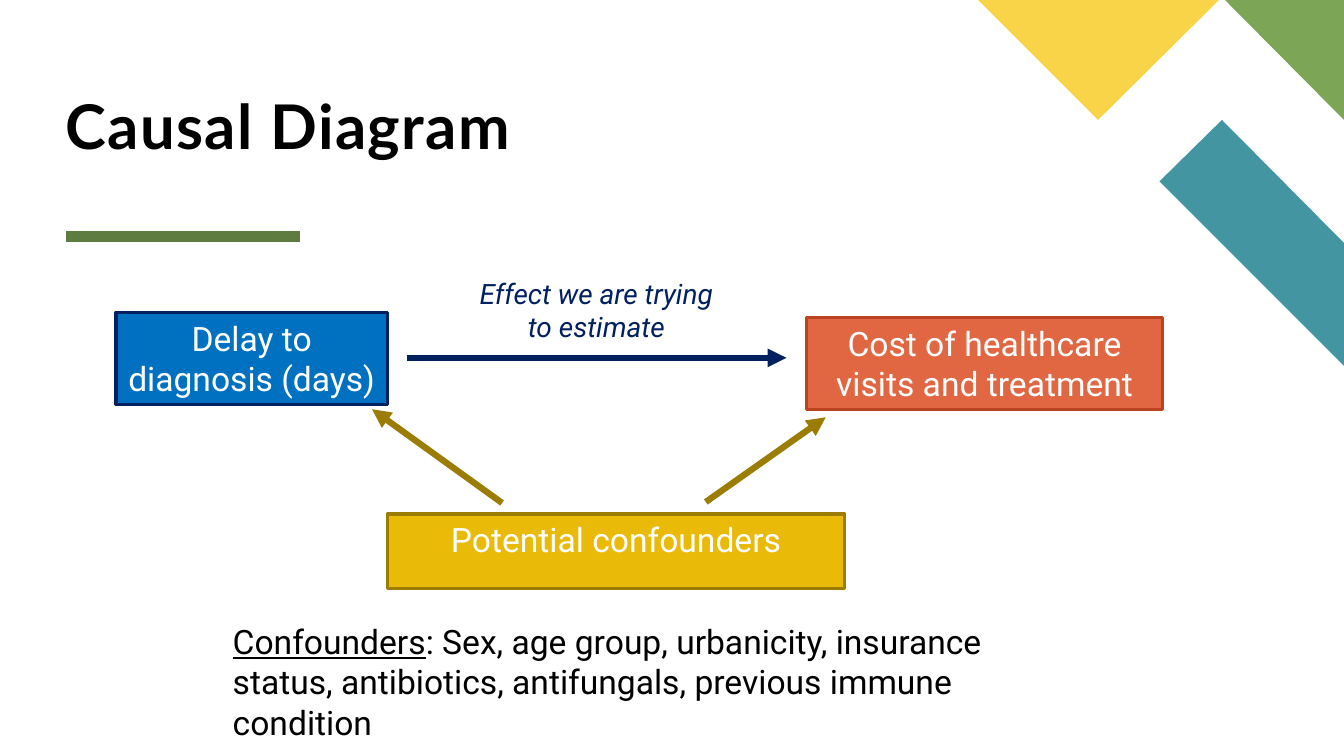
from lxml.etree import SubElement
from pptx import Presentation
from pptx.dml.color import RGBColor
from pptx.enum.shapes import MSO_CONNECTOR, MSO_SHAPE
from pptx.enum.text import MSO_ANCHOR, PP_ALIGN
from pptx.oxml.ns import qn
from pptx.util import Inches, Pt

WHITE = RGBColor(0xFF, 0xFF, 0xFF)
BLACK = RGBColor(0x00, 0x00, 0x00)
TEAL = RGBColor(0x44, 0x95, 0xA2)
GREEN = RGBColor(0x7C, 0xA6, 0x55)
YELLOW = RGBColor(0xF9, 0xD4, 0x48)
DARK_GREEN = RGBColor(0x5D, 0x7D, 0x40)
BLUE = RGBColor(0x00, 0x70, 0xC0)
NAVY = RGBColor(0x00, 0x20, 0x60)
ORANGE = RGBColor(0xE0, 0x67, 0x42)
RUST = RGBColor(0xBB, 0x43, 0x1F)
GOLD = RGBColor(0xE9, 0xBA, 0x08)
DARK_GOLD = RGBColor(0x9B, 0x7C, 0x05)


class CausalSlide:
    """Draws the parts of a causal diagram on one slide in a shared style."""

    title_font = "Lato"
    body_font = "Roboto"
    body_size = 24

    def __init__(self, slide):
        self.slide = slide

    def style_run(self, run, color, size=body_size, font=body_font):
        run.font.name = font
        run.font.size = Pt(size)
        run.font.color.rgb = color

    def polygon(self, points, color):
        corners = [(Inches(x), Inches(y)) for x, y in points]
        builder = self.slide.shapes.build_freeform(*corners[0], scale=1.0)
        builder.add_line_segments(corners[1:], close=True)
        shape = builder.convert_to_shape()
        shape.shadow.inherit = False
        shape.fill.solid()
        shape.fill.fore_color.rgb = color
        shape.line.fill.background()

    def line(self, start, end, color, width, arrow=False):
        connector = self.slide.shapes.add_connector(
            MSO_CONNECTOR.STRAIGHT, *map(Inches, start + end))
        connector.line.color.rgb = color
        connector.line.width = Pt(width)
        if arrow:
            SubElement(connector.line._get_or_add_ln(), qn("a:tailEnd"), type="triangle")
        SubElement(connector._element.spPr, qn("a:effectLst"))

    def text(self, box, parts, color, size=body_size, font=body_font, align=PP_ALIGN.LEFT):
        shape = self.slide.shapes.add_textbox(*map(Inches, box))
        shape.text_frame.word_wrap = True
        paragraph = shape.text_frame.paragraphs[0]
        paragraph.alignment = align
        for part in parts:
            run = paragraph.add_run()
            run.text = part
            self.style_run(run, color, size, font)
        return shape.text_frame

    def title(self, box, words):
        frame = self.text(box, [words], BLACK, 44, self.title_font)
        frame.margin_left = frame.margin_right = 0
        frame.margin_top = frame.margin_bottom = 0
        frame.vertical_anchor = MSO_ANCHOR.BOTTOM
        paragraph = frame.paragraphs[0]
        paragraph.line_spacing = 0.8
        run = paragraph.runs[0]
        run.font.bold = True
        run.font._element.set("spc", "100")

    def factor(self, box, words, fill, border):
        shape = self.slide.shapes.add_shape(MSO_SHAPE.RECTANGLE, *map(Inches, box))
        shape.shadow.inherit = False
        shape.fill.solid()
        shape.fill.fore_color.rgb = fill
        shape.line.color.rgb = border
        shape.line.width = Pt(2.25)
        frame = shape.text_frame
        frame.word_wrap = True
        frame.vertical_anchor = MSO_ANCHOR.TOP
        frame.text = words
        paragraph = frame.paragraphs[0]
        paragraph.alignment = PP_ALIGN.CENTER
        self.style_run(paragraph.runs[0], WHITE)


def main():
    presentation = Presentation()
    presentation.slide_width = Inches(13.33)
    presentation.slide_height = Inches(7.5)
    slide = presentation.slides.add_slide(presentation.slide_layouts[6])
    diagram = CausalSlide(slide)

    diagram.polygon([(13.33, 3.63), (13.33, 2.41), (12.12, 1.19), (11.5, 1.8)], TEAL)
    diagram.polygon([(13.33, 1.19), (13.33, 0), (12.15, 0)], GREEN)
    diagram.polygon([(9.7, 0), (10.89, 1.19), (12.09, 0)], YELLOW)
    diagram.line((0.65, 2.35), (2.98, 2.35), DARK_GREEN, 8)
    diagram.title((0.65, 0.86, 8.69, 0.74), "Causal Diagram")

    confounders = diagram.text(
        (2.21, 6.11, 8.62, 1.31),
        ["Confounders", ": Sex, age group, urbanicity, insurance status, antibiotics, "
         "antifungals, previous immune condition"], BLACK)
    confounders.paragraphs[0].runs[0].font.underline = True

    for box, words, fill, border in [
        ((1.15, 3.1, 2.69, 0.91), "Delay to diagnosis (days)", BLUE, NAVY),
        ((8, 3.15, 3.53, 0.91), "Cost of healthcare visits and treatment", ORANGE, RUST),
        ((3.84, 5.1, 4.54, 0.74), "Potential confounders", GOLD, DARK_GOLD),
    ]:
        diagram.factor(box, words, fill, border)

    for start, end, color in [
        ((4.98, 4.99), (3.69, 4.06), DARK_GOLD),
        ((7, 4.98), (8.19, 4.14), DARK_GOLD),
        ((4.04, 3.55), (7.8, 3.55), NAVY),
    ]:
        diagram.line(start, end, color, 4.5, arrow=True)

    effect = diagram.text((4.63, 2.69, 2.57, 0.77), ["Effect we are trying to estimate"],
                          NAVY, 20, align=PP_ALIGN.CENTER)
    effect.paragraphs[0].runs[0].font.italic = True

    presentation.save("out.pptx")


if __name__ == "__main__":
    main()
